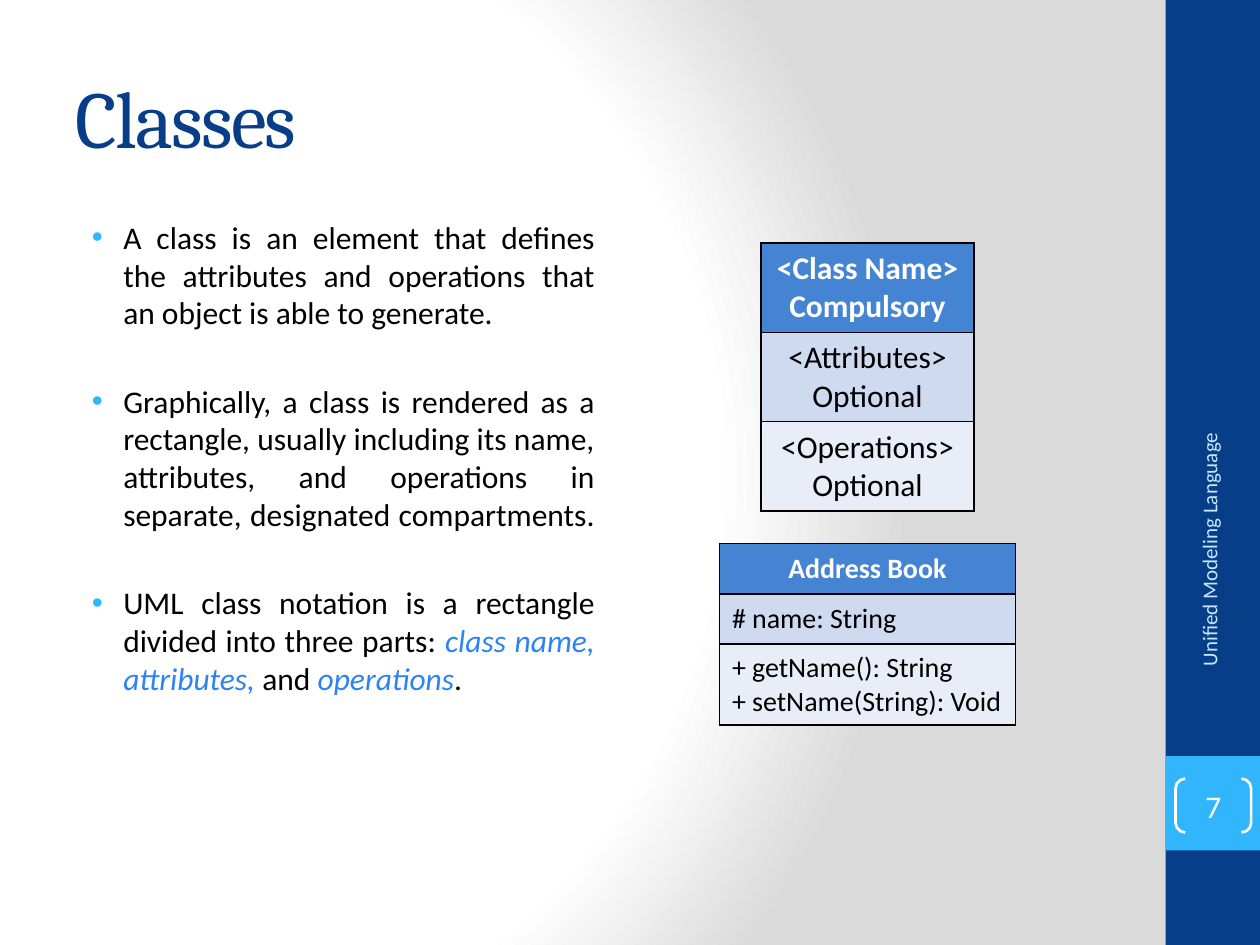
from dataclasses import dataclass

from pptx import Presentation
from pptx.dml.color import RGBColor
from pptx.enum.shapes import MSO_SHAPE as Shape
from pptx.enum.text import MSO_ANCHOR as Anchor, PP_ALIGN as Align
from pptx.oxml import parse_xml
from pptx.oxml.ns import nsdecls
from pptx.util import Inches, Pt

W, H = 10, 7.5
NAVY, SKY, BLUE, WHITE, BLACK = "073E87", "31B6FD", "2D83F4", "FFFFFF", "000000"
ROW_FILLS = ("4584D3", "CFD9EF", "E9EDF7")
BULLETS = (
    (("A class is an element that defines the attributes and operations "
      "that an object is able to generate. ", False),),
    (("Graphically, a class is rendered as a rectangle, usually including its name, "
      "attributes, and operations in separate, designated compartments. ", False),),
    (("UML class notation is a rectangle divided into three parts: ", False),
     ("class name, attributes, ", True), ("and ", False),
     ("operations", True), (".", False)),
)


@dataclass
class Box:
    """A rectangle given as shares of the slide's size."""
    x: float
    y: float
    w: float
    h: float

    def emu(self) -> tuple:
        """Return left, top, width and height as lengths."""
        return (Inches(self.x * W), Inches(self.y * H),
                Inches(self.w * W), Inches(self.h * H))


@dataclass
class ClassTable:
    """A UML class drawn as three stacked compartments."""
    box: Box
    rows: tuple
    heights: tuple
    size: int
    align: Align


CLASS_TABLES = (
    ClassTable(Box(0.604, 0.257, 0.169, 0.284),
               ("<Class Name>\nCompulsory", "<Attributes>\nOptional",
                "<Operations>\nOptional"), (0.71, 0.71, 0.71), 18, Align.CENTER),
    ClassTable(Box(0.571, 0.575, 0.235, 0.193),
               ("Address Book", "# name: String",
                "+ getName(): String\n+ setName(String): Void"),
               (0.4, 0.4, 0.64), 16, Align.LEFT),
)


def rgb(value: str) -> RGBColor:
    """Turn a hex string into a colour."""
    return RGBColor.from_string(value)


def style(r, size: float, color: str, name: str = "Calibri", bold=False, italic=False):
    """Format one run."""
    r.font.size, r.font.name = Pt(size), name
    r.font.bold, r.font.italic = bold, italic
    r.font.color.rgb = rgb(color)


def style_frame(tf, size: float, color: str, align: Align, **font):
    """Format every paragraph of a vertically centred frame."""
    tf.vertical_anchor = Anchor.MIDDLE
    for p in tf.paragraphs:
        p.alignment = align
        for r in p.runs:
            style(r, size, color, **font)


def add_background(s):
    """Fill the slide with a radial white to grey gradient."""
    stops = "".join(f'<a:gs pos="{pos}000"><a:srgbClr val="{color}"/></a:gs>'
                    for pos, color in ((0, WHITE), (75, WHITE), (100, "DADADA")))
    s.element.cSld.insert(0, parse_xml(
        f'<p:bg {nsdecls("p", "a")}><p:bgPr><a:gradFill rotWithShape="1">'
        f'<a:gsLst>{stops}</a:gsLst><a:path path="circle">'
        '<a:fillToRect l="20000" t="50000" r="100000" b="50000"/></a:path>'
        '</a:gradFill><a:effectLst/></p:bgPr></p:bg>'))


def add_block(s, box: Box, color: str):
    """Add a plain filled rectangle."""
    sp = s.shapes.add_shape(Shape.RECTANGLE, *box.emu())
    sp.shadow.inherit = False
    sp.fill.solid()
    sp.fill.fore_color.rgb = rgb(color)
    sp.line.fill.background()


def add_label(s, box: Box, text: str, size: float, color: str, align: Align, **font):
    """Add a text box with a single line and return it."""
    sp = s.shapes.add_textbox(*box.emu())
    sp.text_frame.word_wrap = True
    sp.text_frame.text = text
    style_frame(sp.text_frame, size, color, align, **font)
    return sp


def add_bullets(s, box: Box):
    """Add the justified bullet list."""
    tf = s.shapes.add_textbox(*box.emu()).text_frame
    tf.word_wrap = True
    for i, parts in enumerate(BULLETS):
        p = tf.paragraphs[0] if i == 0 else tf.add_paragraph()
        p.alignment = Align.JUSTIFY
        p.space_before = Pt(28.8 if i else 3.6)
        pPr = p._p.get_or_add_pPr()
        pPr.set("marL", str(Inches(0.38)))
        pPr.set("indent", str(Inches(-0.25)))
        for xml in (f'<a:buClr {nsdecls("a")}><a:srgbClr val="{SKY}"/></a:buClr>',
                    f'<a:buFont {nsdecls("a")} typeface="Arial"/>',
                    f'<a:buChar {nsdecls("a")} char="•"/>'):
            pPr.append(parse_xml(xml))
        for text, accent in parts:
            r = p.add_run()
            r.text = text
            style(r, 18, BLUE if accent else BLACK, italic=accent)


def add_borders(cell):
    """Draw a thin black line on all sides of a cell."""
    tcPr = cell._tc.get_or_add_tcPr()
    for i, side in enumerate(("lnL", "lnR", "lnT", "lnB")):
        tcPr.insert(i, parse_xml(
            f'<a:{side} {nsdecls("a")} w="{Pt(1)}"><a:solidFill>'
            f'<a:srgbClr val="{BLACK}"/></a:solidFill></a:{side}>'))


def add_class_table(s, item: ClassTable):
    """Add a class as a table with one column."""
    table = s.shapes.add_table(len(item.rows), 1, *item.box.emu()).table
    for i, (text, height, fill) in enumerate(zip(item.rows, item.heights, ROW_FILLS)):
        table.rows[i].height = Inches(height)
        cell = table.cell(i, 0)
        cell.text_frame.text = text
        cell.fill.solid()
        cell.fill.fore_color.rgb = rgb(fill)
        cell.vertical_anchor = Anchor.MIDDLE
        head = i == 0
        style_frame(cell.text_frame, item.size, WHITE if head else BLACK,
                    Align.CENTER if head else item.align, bold=head)
        add_borders(cell)


def add_page_number(s, box: Box, number: str):
    """Add the page number between brackets."""
    sp = s.shapes.add_shape(Shape.DOUBLE_BRACKET, *box.emu())
    sp.shadow.inherit = False
    sp.adjustments[0] = 0.18
    sp.fill.background()
    sp.line.color.rgb = rgb(WHITE)
    sp.line.width = Pt(1.5)
    tf = sp.text_frame
    tf.margin_left = tf.margin_right = tf.margin_top = tf.margin_bottom = 0
    tf.text = number
    style_frame(tf, 18, WHITE, Align.CENTER)


def main():
    """Build the slide and save it."""
    prs = Presentation()
    prs.slide_width, prs.slide_height = Inches(W), Inches(H)
    s = prs.slides.add_slide(prs.slide_layouts[6])
    add_background(s)
    add_block(s, Box(0.925, 0, 0.075, 1), NAVY)
    add_block(s, Box(0.925, 0.8, 0.075, 0.1), SKY)
    title = add_label(s, Box(0.05, 0.04, 0.833, 0.167), "Classes", 46, NAVY,
                      Align.LEFT, name="Cambria")
    title.text_frame.paragraphs[0].runs[0].font._element.set("spc", "-100")
    add_bullets(s, Box(0.05, 0.224, 0.432, 0.669))
    for item in CLASS_TABLES:
        add_class_table(s, item)
    topic = add_label(s, Box(0.83, 0.591, 0.259, 0.053), "Unified Modeling Language",
                      12, "C6E7FC", Align.RIGHT)
    topic.rotation = 270
    add_page_number(s, Box(0.933, 0.824, 0.06, 0.057), "7")
    prs.save("out.pptx")


if __name__ == "__main__":
    main()
